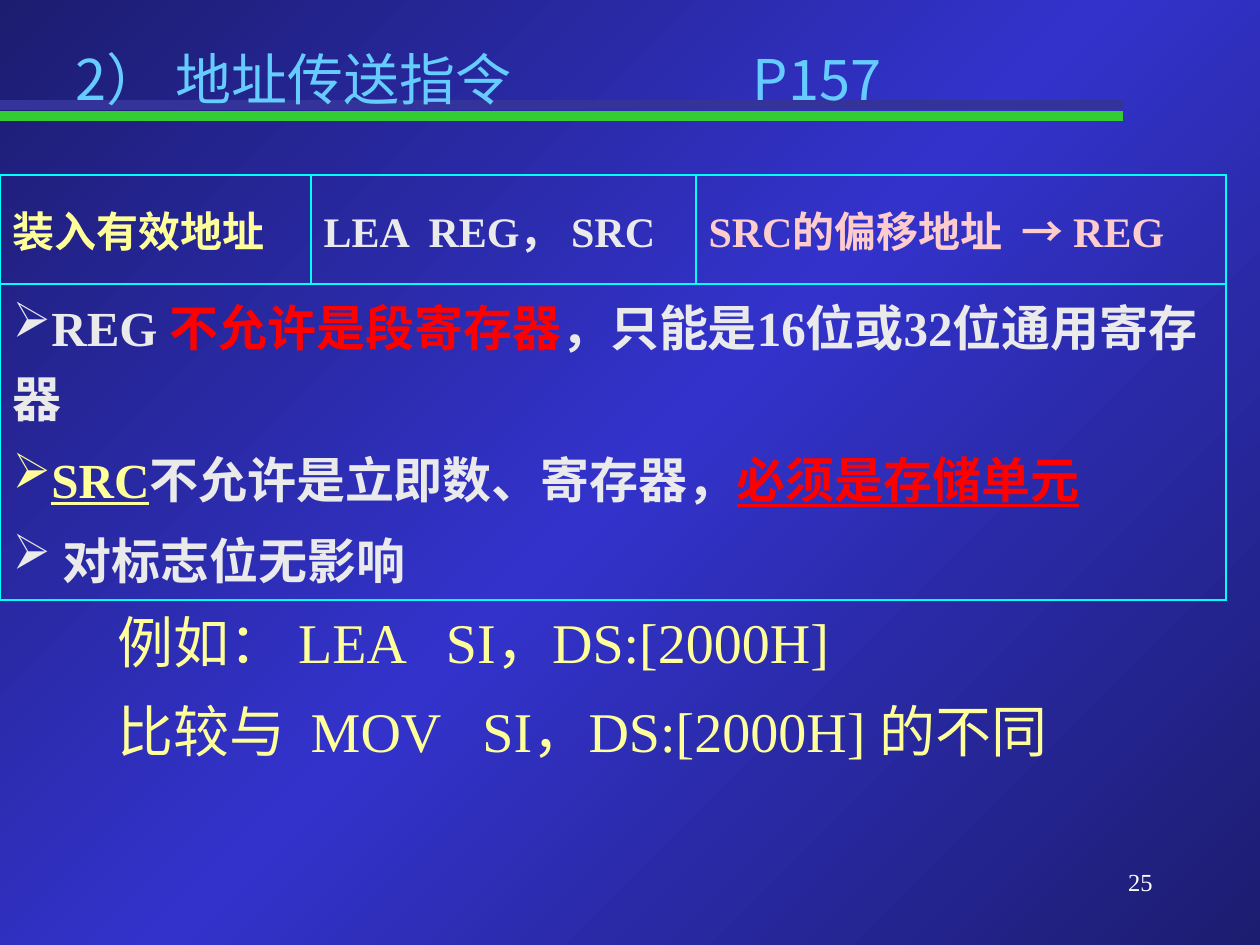
from lxml.etree import SubElement
from pptx import Presentation
from pptx.dml.color import RGBColor
from pptx.enum.shapes import MSO_CONNECTOR as Connector
from pptx.enum.text import MSO_ANCHOR as Anchor, PP_ALIGN as Align
from pptx.oxml.ns import qn
from pptx.util import Pt

# Content: a rich text is a list of (text, colour name, underlined)
TITLE = "2） 地址传送指令\tP157"
PAGE_NUMBER = "25"
HEADER = [("装入有效地址", "yellow"),
          ("LEA  REG， SRC", "light"),
          ("SRC的偏移地址  → REG", "pink")]
RULES = [
    [("REG ", "light", False), ("不允许是段寄存器", "red", False),
     ("，只能是16位或32位通用寄存器", "light", False)],
    [("SRC", "yellow", True), ("不允许是立即数、寄存器，", "light", False),
     ("必须是存储单元", "red", True)],
    [(" 对标志位无影响", "light", False)],
]
EXAMPLES = ["例如： LEA   SI，DS:[2000H]",
            "比较与  MOV   SI，DS:[2000H] 的不同"]

THEME = {
    "latin": "Times New Roman", "cjk": "Noto Sans CJK SC",
    "title_size": 32, "header_size": 24, "rule_size": 28,
    "example_size": 32, "number_size": 14, "bar_width": 5.5, "border_width": 1,
    "title": "66CCFF", "yellow": "FFFF99", "light": "EAEAEA", "pink": "FFCCCC",
    "red": "FF0000", "white": "FFFFFF", "border": "00FFFF",
    "green_bar": "33CC33", "blue_bar": "333399",
    "background": ("1C1C70", "3333CC", "1C1C70"),
}

# Layout in px
SCALE = 914400 / 126
SLIDE = (1260, 945)
BAR_LENGTH = 1123
BARS = [("green_bar", 116), ("blue_bar", 105)]
TITLE_BOX = (63, 38, 1134, 157)
TITLE_TAB = 677
TABLE_TOP = 175
COLUMNS = (311, 385, 530)
ROWS = (109, 316)
EXAMPLE_BOX = (105, 601, 1042, 79)
EXAMPLE_STEP = 89
NUMBER_BOX = (903, 861, 262, 63)


def px(value):
    return round(value * SCALE)


def box(values):
    return [px(value) for value in values]


def colour(name):
    return RGBColor.from_string(THEME[name])


def style_run(run, size, colour_name, bold=False, underline=False, latin="latin"):
    font = run.font
    font.size, font.name = Pt(THEME[size]), THEME[latin]
    font.bold, font.underline = bold, underline
    font.color.rgb = colour(colour_name)
    SubElement(run._r.get_or_add_rPr(), qn("a:ea"), typeface=THEME["cjk"])


def add_text(slide, position, text, size, colour_name, align=Align.LEFT):
    frame = slide.shapes.add_textbox(*box(position)).text_frame
    frame.word_wrap = True
    frame.text = text
    paragraph = frame.paragraphs[0]
    paragraph.alignment = align
    style_run(paragraph.runs[0], size, colour_name)


def set_borders(cell):
    properties = cell._tc.get_or_add_tcPr()
    for index, side in enumerate(("lnL", "lnR", "lnT", "lnB")):
        line = properties.makeelement(
            qn("a:" + side), {"w": str(Pt(THEME["border_width"]))})
        fill = SubElement(line, qn("a:solidFill"))
        SubElement(fill, qn("a:srgbClr"), val=THEME["border"])
        properties.insert(index, line)


def set_background(slide):
    fill = slide.background.fill
    fill.gradient()
    gradient = fill._fill._gradFill
    stops = gradient.find(qn("a:gsLst"))
    for stop in list(stops):
        stops.remove(stop)
    for index, value in enumerate(THEME["background"]):
        stop = SubElement(stops, qn("a:gs"), pos=str(index * 50000))
        SubElement(stop, qn("a:srgbClr"), val=value)
    gradient.find(qn("a:lin")).set("ang", str(45 * 60000))


def add_bars(slide):
    for name, y in BARS:
        bar = slide.shapes.add_connector(
            Connector.STRAIGHT, *box((0, y, BAR_LENGTH, y)))
        bar.line.color.rgb = colour(name)
        bar.line.width = Pt(THEME["bar_width"])
        SubElement(bar._element.spPr, qn("a:effectLst"))


def add_title(slide):
    title = slide.shapes.title
    title.left, title.top, title.width, title.height = box(TITLE_BOX)
    frame = title.text_frame
    frame.text = TITLE
    frame.vertical_anchor = Anchor.TOP
    paragraph = frame.paragraphs[0]
    paragraph.alignment = Align.LEFT
    tabs = SubElement(paragraph._p.get_or_add_pPr(), qn("a:tabLst"))
    SubElement(tabs, qn("a:tab"), pos=str(px(TITLE_TAB)), algn="l")
    for run in paragraph.runs:
        style_run(run, "title_size", "title", latin="cjk")
    slide.shapes._spTree.append(title._element)  # in front of the bars


def add_rules_table(slide):
    table = slide.shapes.add_table(
        len(ROWS), len(COLUMNS),
        *box((0, TABLE_TOP, sum(COLUMNS), sum(ROWS)))).table
    table.first_row = table.horz_banding = False
    for column, width in zip(table.columns, COLUMNS):
        column.width = px(width)
    for row, height in zip(table.rows, ROWS):
        row.height = px(height)
    for cell in table.iter_cells():
        cell.fill.background()
        set_borders(cell)

    # Header row
    for cell, (text, colour_name) in zip(table.rows[0].cells, HEADER):
        cell.text_frame.text = text
        cell.vertical_anchor = Anchor.MIDDLE
        style_run(cell.text_frame.paragraphs[0].runs[0],
                  "header_size", colour_name, bold=True)

    # Bulleted rules across all columns
    rules = table.cell(1, 0)
    rules.merge(table.cell(1, len(COLUMNS) - 1))
    frame = rules.text_frame
    for index, parts in enumerate(RULES):
        paragraph = frame.add_paragraph() if index else frame.paragraphs[0]
        if index:
            paragraph.space_before = Pt(THEME["rule_size"] * 0.2)
        SubElement(paragraph._p.get_or_add_pPr(), qn("a:buChar"), char="➢")
        for text, colour_name, underline in parts:
            run = paragraph.add_run()
            run.text = text
            style_run(run, "rule_size", colour_name, True, underline)


def main():
    presentation = Presentation()
    presentation.slide_width, presentation.slide_height = box(SLIDE)
    slide = presentation.slides.add_slide(presentation.slide_layouts[5])
    set_background(slide)
    add_bars(slide)
    add_text(slide, NUMBER_BOX, PAGE_NUMBER, "number_size", "white", Align.RIGHT)
    add_title(slide)
    add_rules_table(slide)
    left, top, width, height = EXAMPLE_BOX
    for index, text in enumerate(EXAMPLES):
        add_text(slide, (left, top + index * EXAMPLE_STEP, width, height),
                 text, "example_size", "yellow")
    presentation.save("out.pptx")


if __name__ == "__main__":
    main()
